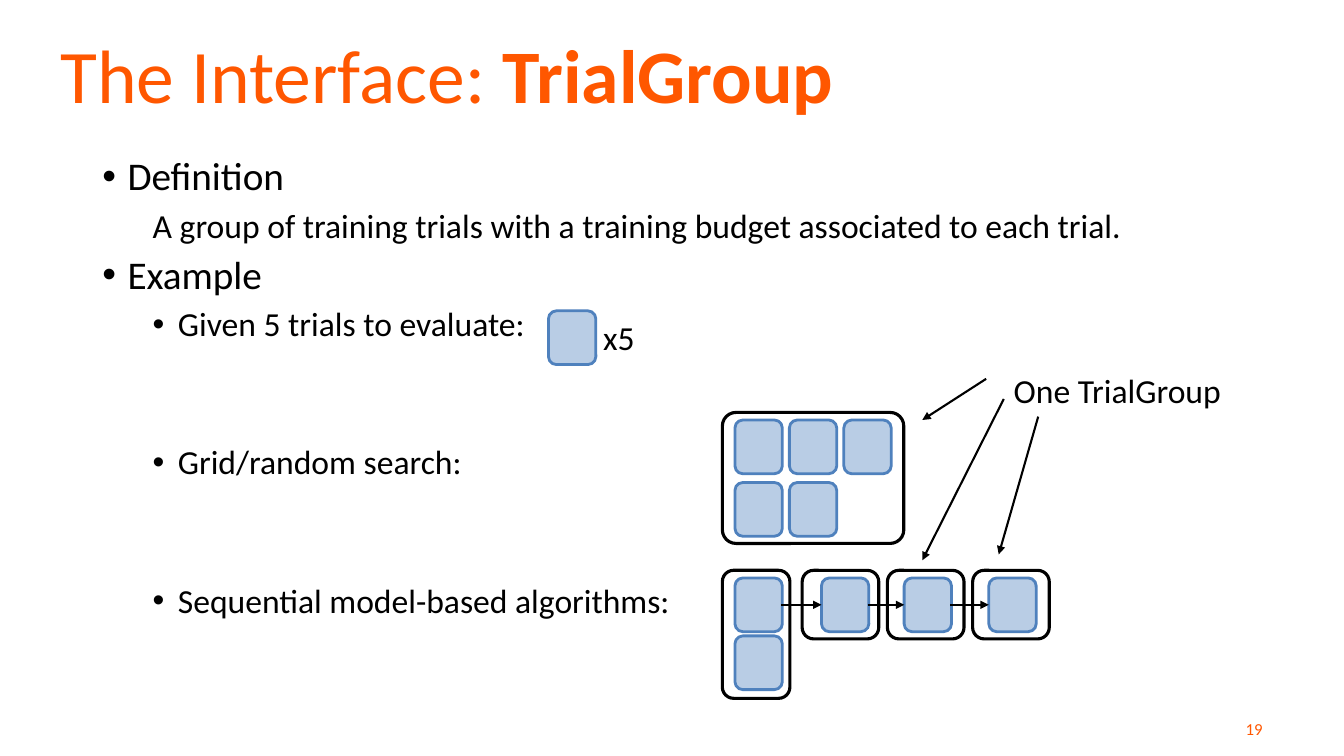
import dataclasses

import lxml.etree
import pptx
import pptx.dml.color
import pptx.enum.shapes
import pptx.enum.text
import pptx.oxml
import pptx.oxml.ns
import pptx.util

ANCHOR = pptx.enum.text.MSO_ANCHOR
ALIGN = pptx.enum.text.PP_ALIGN
COLUMNS, ROWS = 160, 90
TILE = (5.64, 6.4)


@dataclasses.dataclass(frozen=True)
class Theme:
    font: str = "Calibri"
    accent: str = "FF5700"
    ink: str = "000000"
    tile_fill: str = "B9CDE5"
    tile_edge: str = "4F81BD"
    title_size: int = 54
    topic_size: int = 28
    text_size: int = 24
    number_size: int = 12
    tile_line: float = 2
    group_line: float = 2.25
    arrow_line: float = 1.5


def rgb(code):
    return pptx.dml.color.RGBColor.from_string(code)


def add_element(parent, tag, **attributes):
    element = lxml.etree.SubElement(parent, pptx.oxml.ns.qn(tag))
    for key, value in attributes.items():
        element.set(key, value)


def add_text(paragraph, text, *, font, size, color, bold=False):
    run = paragraph.add_run()
    run.text = text
    run.font.name = font
    run.font.size = pptx.util.Pt(size)
    run.font.color.rgb = rgb(color)
    run.font.bold = bold


class SlideBuilder:
    """Draws themed elements on one slide, placed by grid columns and rows."""

    def __init__(self, deck, theme):
        self.theme = theme
        self.slide = deck.slides.add_slide(deck.slide_layouts[6])
        self.column = deck.slide_width / COLUMNS
        self.row = deck.slide_height / ROWS

    def place(self, x, y):
        return round(x * self.column), round(y * self.row)

    def text_box(self, x, y, width, height, anchor=ANCHOR.TOP, inset=True):
        box = self.slide.shapes.add_textbox(*self.place(x, y), *self.place(width, height))
        frame = box.text_frame
        frame.word_wrap = inset
        frame.vertical_anchor = anchor
        if not inset:
            frame.margin_left = frame.margin_right = 0
            frame.margin_top = frame.margin_bottom = 0
        return frame

    def indent(self, paragraph, margin, first, bullet=False):
        properties = paragraph._p.get_or_add_pPr()
        properties.set("marL", str(round(margin * self.column)))
        properties.set("indent", str(round(first * self.column)))
        if bullet:
            add_element(properties, "a:buFont", typeface="Arial")
            add_element(properties, "a:buChar", char="•")
        else:
            add_element(properties, "a:buNone")

    def words(self, paragraph, text, size, color=None, bold=False):
        add_text(paragraph, text, font=self.theme.font, size=size,
                 color=color or self.theme.ink, bold=bold)

    def label(self, text, x, y, width, height, size, color=None, align=ALIGN.LEFT, **layout):
        paragraph = self.text_box(x, y, width, height, **layout).paragraphs[0]
        paragraph.alignment = align
        self.words(paragraph, text, size, color)

    def outline(self, entries, x, y, width, height):
        frame = self.text_box(x, y, width, height)
        for index, (text, size, margin, first, bullet, before) in enumerate(entries):
            paragraph = frame.add_paragraph() if index else frame.paragraphs[0]
            paragraph.line_spacing = 0.9
            paragraph.space_before = pptx.util.Pt(before)
            self.indent(paragraph, margin, first, bullet)
            self.words(paragraph, text, size)

    def rounded(self, x, y, width, height, edge, weight, fill=None, corner=None):
        shape = self.slide.shapes.add_shape(
            pptx.enum.shapes.MSO_SHAPE.ROUNDED_RECTANGLE,
            *self.place(x, y), *self.place(width, height))
        shape.shadow.inherit = False
        if fill:
            shape.fill.solid()
            shape.fill.fore_color.rgb = rgb(fill)
        else:
            shape.fill.background()
        shape.line.color.rgb = rgb(edge)
        shape.line.width = pptx.util.Pt(weight)
        if corner is not None:
            shape.adjustments[0] = corner

    def trial(self, x, y):
        self.rounded(x, y, *TILE, self.theme.tile_edge, self.theme.tile_line,
                     fill=self.theme.tile_fill)

    def trial_group(self, x, y, width, height, corner=None):
        self.rounded(x, y, width, height, self.theme.ink, self.theme.group_line, corner=corner)

    def arrow(self, start, end):
        connector = self.slide.shapes.add_connector(
            pptx.enum.shapes.MSO_CONNECTOR.STRAIGHT, *self.place(*start), *self.place(*end))
        connector.line.color.rgb = rgb(self.theme.ink)
        connector.line.width = pptx.util.Pt(self.theme.arrow_line)
        properties = connector._element.spPr
        add_element(properties.get_or_add_ln(), "a:tailEnd", type="triangle")
        add_element(properties, "a:effectLst")


def main():
    deck = pptx.Presentation()
    deck.slide_width = pptx.util.Inches(13.333)
    deck.slide_height = pptx.util.Inches(7.5)
    theme = Theme()
    page = SlideBuilder(deck, theme)

    heading = page.text_box(0, 0, 160, 17.5, anchor=ANCHOR.MIDDLE).paragraphs[0]
    page.indent(heading, 0, 6)
    page.words(heading, "The Interface: ", theme.title_size, theme.accent)
    page.words(heading, "TrialGroup", theme.title_size, theme.accent, bold=True)

    topic = (theme.topic_size, 3, -3, True)
    definition = (theme.text_size, 6, 0, False)
    example = (theme.text_size, 9, -3, True)
    page.outline([
        ("Definition", *topic, 0),
        ("A group of training trials with a training budget associated to each trial.",
         *definition, 7),
        ("Example", *topic, 7),
        ("Given 5 trials to evaluate:", *example, 7),
        ("Grid/random search:", *example, 73),
        ("Sequential model-based algorithms:", *example, 73),
    ], 11, 18.1, 138, 63)
    page.label("19", 135.5, 84.4, 16, 4.8, theme.number_size, theme.accent,
               align=ALIGN.RIGHT, anchor=ANCHOR.MIDDLE)

    page.trial(65.3, 37)
    page.label("x5", 71.8, 37.7, 4.4, 4.8, theme.text_size, anchor=ANCHOR.MIDDLE, inset=False)

    for index in range(5):
        line, place = divmod(index, 3)
        page.trial(87.5 + 6.48 * place, 50 + 7.44 * line)
    page.trial_group(86, 49.1, 21.6, 15.6, corner=0.104)

    sequence = [87.5, 97.8, 107.64, 117.72]
    for left in sequence:
        page.trial(left, 68.8)
    page.trial(sequence[0], 75.7)
    page.trial_group(86, 67.9, 8.04, 15.24)
    for index in range(3):
        page.trial_group(95.5 + 10.15 * index, 67.9, 9.12, 8.16)
    for left, following in zip(sequence, sequence[1:]):
        page.arrow((left + 5.5, 72), (following, 72))

    page.label("One TrialGroup", 119.5, 43.4, 28.2, 5.9, theme.text_size)
    for start, end in [((117.4, 45.1), (109.8, 50)),
                       ((119.5, 47.5), (109.8, 66.7)),
                       ((123.6, 49.6), (118.9, 66))]:
        page.arrow(start, end)

    deck.save("out.pptx")


if __name__ == "__main__":
    main()
